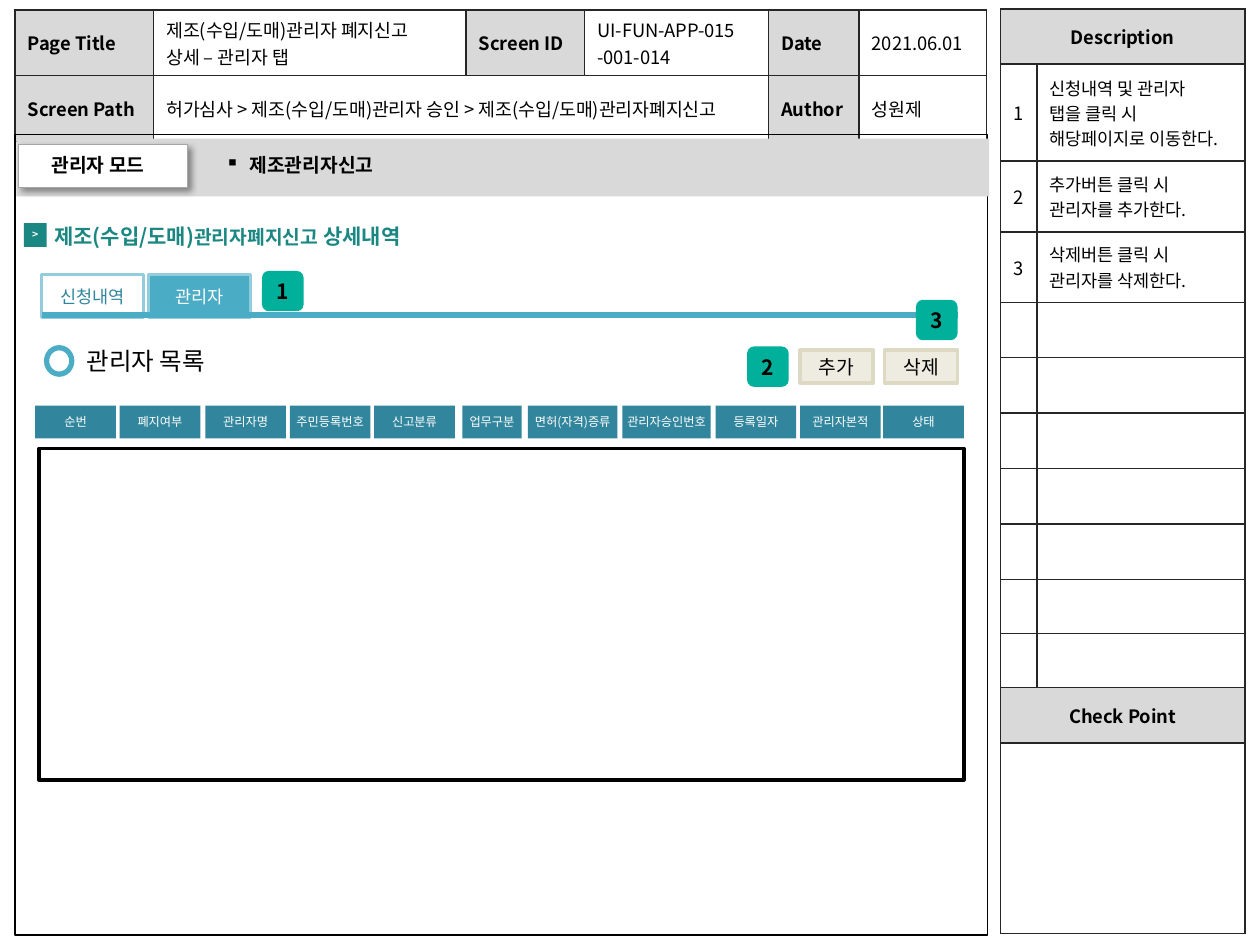
import lxml.etree
import pptx
import pptx.dml.color
import pptx.enum.shapes
import pptx.enum.text
import pptx.oxml
import pptx.oxml.ns
import pptx.util

SHAPE = pptx.enum.shapes.MSO_SHAPE
ALIGN = pptx.enum.text.PP_ALIGN
ANCHOR = pptx.enum.text.MSO_ANCHOR
qn = pptx.oxml.ns.qn

# The slide is a grid of 1000 columns by 750 rows; all lengths count its cells
CELL = pptx.util.Inches(0.01)
FONT = "Noto Sans CJK KR"
BLACK, WHITE, GREY, RULE = "000000", "FFFFFF", "D9D9D9", "262626"
TEAL, SKY, PALE_SKY, DEEP_SKY = "1B8782", "4BACC6", "93CDDD", "31859C"
MINT, SAND, DARK_SAND = "00B09B", "EEECE1", "DDD9C3"


def grid(*counts):
    return [pptx.util.Emu(int(count * CELL)) for count in counts]


def colour(value):
    return pptx.dml.color.RGBColor.from_string(value)


def add_span(para, text, size, ink=BLACK, bold=False):
    span = para.add_run()
    span.text = text
    span.font.size = pptx.util.Pt(size)
    span.font.bold = bold
    span.font.name = FONT
    span.font.color.rgb = colour(ink)
    latin = span.font._element.find(qn("a:latin"))
    east = pptx.oxml.parse_xml(lxml.etree.tostring(latin))
    east.tag = qn("a:ea")
    latin.addnext(east)


def set_insets(frame, left=10, top=5, right=10, bottom=5):
    (frame.margin_left, frame.margin_top,
     frame.margin_right, frame.margin_bottom) = grid(left, top, right, bottom)


def add_box(page, place, fill=None, line=None, weight=0.75, kind=SHAPE.RECTANGLE):
    box = page.shapes.add_shape(kind, *grid(*place))
    box.shadow.inherit = False
    if fill:
        box.fill.solid()
        box.fill.fore_color.rgb = colour(fill)
    else:
        box.fill.background()
    if line:
        box.line.color.rgb = colour(line)
        box.line.width = pptx.util.Pt(weight)
    else:
        box.line.fill.background()
    return box


def add_label(box, text, size, ink=BLACK, bold=False, top=5):
    frame = box.text_frame
    frame.word_wrap = False
    frame.vertical_anchor = ANCHOR.MIDDLE
    set_insets(frame, 0, top, 0, 5)
    para = frame.paragraphs[0]
    para.alignment = ALIGN.CENTER
    add_span(para, text, size, ink, bold)


def add_badge(page, left, top, number):
    badge = add_box(page, (left, top, 33, 32), MINT, kind=SHAPE.ROUNDED_RECTANGLE)
    add_label(badge, number, 12, bold=True)


def add_text(page, place, text, size, bold=False, bullet=None):
    box = page.shapes.add_textbox(*grid(*place))
    box.text_frame.word_wrap = True
    para = box.text_frame.paragraphs[0]
    if bullet:
        props = para._p.get_or_add_pPr()
        indent = grid(19)[0]
        props.set("marL", str(indent))
        props.set("indent", str(-indent))
        lxml.etree.SubElement(props, qn("a:buChar")).set("char", bullet)
    add_span(para, text, size, bold=bold)


def add_shadow(box):
    effects = box._element.spPr.find(qn("a:effectLst"))
    shadow = lxml.etree.SubElement(
        effects, qn("a:outerShdw"), blurRad=str(pptx.util.Pt(4)),
        dist=str(pptx.util.Pt(3)), dir=str(45 * 60000), algn="tl", rotWithShape="0")
    ink = lxml.etree.SubElement(shadow, qn("a:srgbClr"), val=BLACK)
    lxml.etree.SubElement(ink, qn("a:alpha"), val="40000")


def add_grid_table(page, left, top, columns, rows):
    place = grid(left, top, sum(columns), sum(rows))
    table = page.shapes.add_table(len(rows), len(columns), *place).table
    table.first_row = table.horz_banding = False
    for column, width in zip(table.columns, grid(*columns)):
        column.width = width
    for row, height in zip(table.rows, grid(*rows)):
        row.height = height
    for cell in table.iter_cells():
        cell.vertical_anchor = ANCHOR.MIDDLE
        props = cell._tc.get_or_add_tcPr()
        for side in ("a:lnL", "a:lnR", "a:lnT", "a:lnB"):
            edge = lxml.etree.SubElement(props, qn(side), w=str(pptx.util.Pt(1)))
            ink = lxml.etree.SubElement(edge, qn("a:solidFill"))
            lxml.etree.SubElement(ink, qn("a:srgbClr"), val=RULE)
        cell.fill.background()
        # Keeps empty rows from growing
        lxml.etree.SubElement(cell.text_frame.paragraphs[0]._p,
                              qn("a:endParaRPr"), sz="1050")
    return table


def fill_cell(cell, lines, size=10.5, heading=False, align=None):
    if heading:
        cell.fill.solid()
        cell.fill.fore_color.rgb = colour(GREY)
    frame = cell.text_frame
    for index, line in enumerate(lines):
        para = frame.add_paragraph() if index else frame.paragraphs[0]
        para.alignment = align
        add_span(para, line, size, bold=heading)


def add_screen_info(page):
    table = add_grid_table(page, 12, 8, (110, 248, 94, 146, 72, 101), (38, 38))
    table.cell(1, 1).merge(table.cell(1, 3))
    entries = [
        (0, 0, "Page Title", ["제조(수입/도매)관리자 폐지신고", "상세 – 관리자 탭"]),
        (0, 2, "Screen ID", ["UI-FUN-APP-015", "-001-014"]),
        (0, 4, "Date", ["2021.06.01"]),
        (1, 0, "Screen Path",
         ["허가심사 > 제조(수입/도매)관리자 승인 > 제조(수입/도매)관리자폐지신고"]),
        (1, 4, "Author", ["성원제"]),
    ]
    for row, column, name, lines in entries:
        fill_cell(table.cell(row, column), [name], heading=True)
        fill_cell(table.cell(row, column + 1), lines)


def add_description(page):
    rows = (44, 77, 56, 56) + (44,) * 5 + (43, 43, 44, 151)
    table = add_grid_table(page, 794, 7, (29, 165), rows)
    for row in (0, 11, 12):
        table.cell(row, 0).merge(table.cell(row, 1))
    for row, name in ((0, "Description"), (11, "Check Point")):
        fill_cell(table.cell(row, 0), [name], heading=True, align=ALIGN.CENTER)
    notes = [
        ["신청내역 및 관리자", "탭을 클릭 시 해당페이지로 이동한다."],
        ["추가버튼 클릭 시", "관리자를 추가한다."],
        ["삭제버튼 클릭 시", "관리자를 삭제한다."],
    ]
    for number, lines in enumerate(notes, 1):
        fill_cell(table.cell(number, 0), [str(number)])
        fill_cell(table.cell(number, 1), lines, size=10)


def add_mode_bar(page):
    add_box(page, (13, 110, 772, 46), GREY)
    add_text(page, (169, 117, 228, 29), "제조관리자신고", 11, True, bullet="▪")
    button = page.shapes.add_group_shape()
    # A group offers the same shapes collection as a page
    add_shadow(add_box(button, (15, 115, 134, 34), WHITE, "A6A6A6"))
    add_text(button, (31, 117, 102, 29), "관리자 모드", 11, True)


def add_heading(page):
    add_label(add_box(page, (19, 177, 18, 19), TEAL), ">", 6, WHITE, True, top=3)
    title = page.shapes.title
    title.left, title.top, title.width, title.height = grid(33, 172, 326, 30)
    frame = title.text_frame
    frame.auto_size = pptx.enum.text.MSO_AUTO_SIZE.NONE
    frame.word_wrap = True
    frame.vertical_anchor = ANCHOR.TOP
    set_insets(frame)
    para = frame.paragraphs[0]
    para.alignment = ALIGN.LEFT
    for text, size in (("제조(수입/도매)", 12), ("관리자폐지신고", 11), (" 상세내역", 12)):
        add_span(para, text, size, TEAL, True)


def add_tabs(page):
    tabs = [("신청내역", WHITE, DEEP_SKY), ("관리자", SKY, WHITE)]
    for index, (name, fill, ink) in enumerate(tabs):
        tab = add_box(page, (33 + 85 * index, 218, 81, 34), fill, PALE_SKY, 2)
        add_label(tab, name, 10, ink)
    rule = page.shapes.add_connector(
        pptx.enum.shapes.MSO_CONNECTOR.STRAIGHT, *grid(33, 250, 760, 250))
    rule.line.color.rgb = colour(SKY)
    rule.line.width = pptx.util.Pt(3)
    lxml.etree.SubElement(rule._element.spPr, qn("a:effectLst"))


def add_manager_list(page):
    add_text(page, (59, 270, 183, 34), "관리자 목록", 14)
    add_box(page, (37, 276, 20, 21), WHITE, SKY, 3, SHAPE.OVAL)
    for left, name in ((635, "추가"), (702, "삭제")):
        button = add_box(page, (left, 278, 58, 26), SAND, DARK_SAND, 2)
        add_label(button, name, 11)
    # Column headings: name, left, width
    headings = [
        ("순번", 28, 64), ("폐지여부", 95, 64), ("관리자명", 163, 64),
        ("주민등록번호", 230, 64), ("신고분류", 297, 64), ("업무구분", 367, 47),
        ("면허(자격)증류", 419, 71), ("관리자승인번호", 494, 70),
        ("등록일자", 568, 64), ("관리자본적", 635, 64), ("상태", 701, 64),
    ]
    for name, left, width in headings:
        add_label(add_box(page, (left, 322, width, 26), DEEP_SKY), name, 7, WHITE)
    add_box(page, (31, 356, 734, 263), WHITE, BLACK, 2)


def main():
    deck = pptx.Presentation()
    deck.slide_width, deck.slide_height = grid(1000, 750)
    page = deck.slides.add_slide(deck.slide_layouts[5])
    add_screen_info(page)
    add_description(page)
    # Frame of the screen
    add_box(page, (12, 107, 772, 635), line=BLACK)
    add_mode_bar(page)
    add_heading(page)
    add_tabs(page)
    add_manager_list(page)
    for number, (left, top) in enumerate([(208, 215), (593, 275), (727, 238)], 1):
        add_badge(page, left, top, str(number))
    deck.save("out.pptx")


if __name__ == "__main__":
    main()
